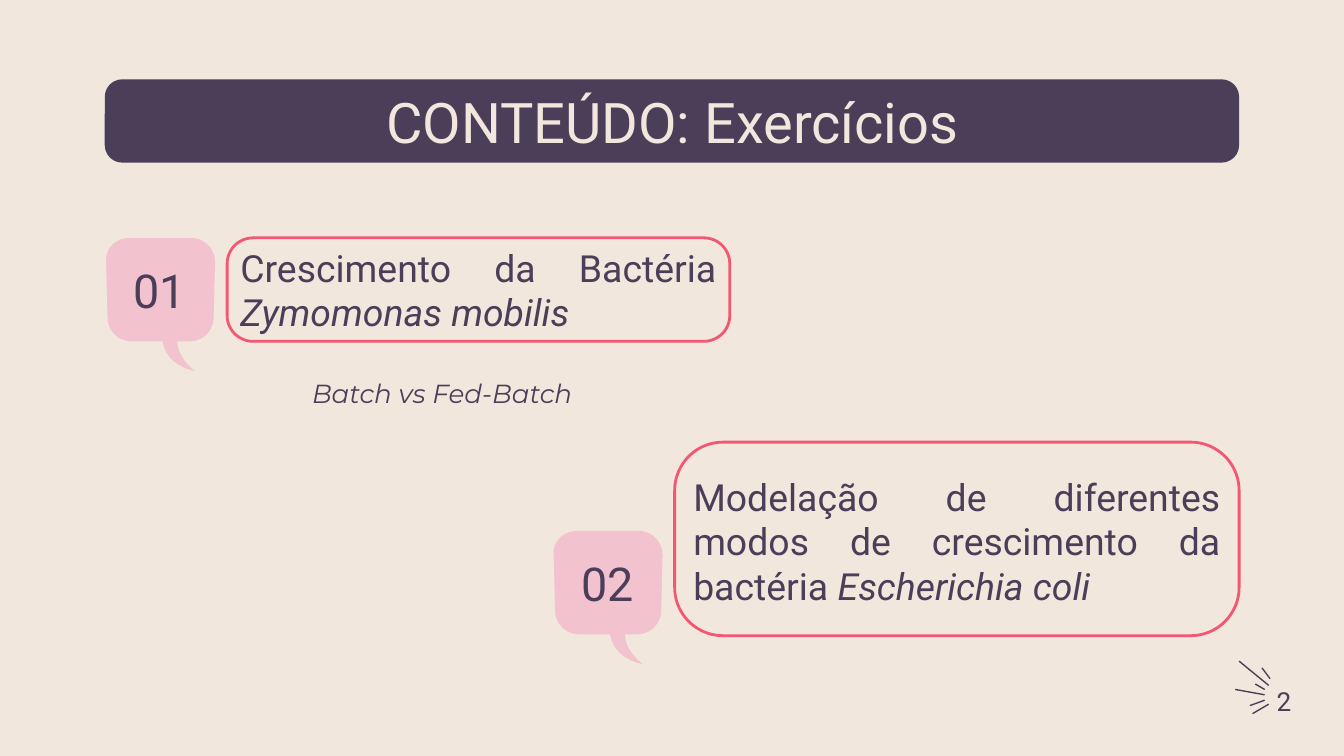
from lxml.etree import SubElement
from pptx import Presentation
from pptx.dml.color import RGBColor
from pptx.enum.shapes import MSO_CONNECTOR, MSO_SHAPE
from pptx.enum.text import MSO_ANCHOR, PP_ALIGN
from pptx.oxml.ns import qn
from pptx.util import Pt

PX = 9144  # 100 px to the inch
WIDTH = 1000 * PX
HEIGHT = WIDTH * 9 // 16
CREAM, PLUM, PINK, CORAL = "F2E7DC", "4B3E59", "F2C2CF", "F25774"
STEPS = 12

# Bubble outline from its top left: two numbers for a line, six for a curve
BUBBLE = [
    (64, 0), (74, 0, 82, 8, 82, 18), (81, 59), (81, 69, 73, 77, 63, 77),
    (54, 77), (54, 82, 56, 90, 67, 99), (67, 99, 46, 96, 43, 77), (20, 77),
    (10, 77, 2, 69, 2, 59), (1, 18), (0, 8, 8, 0, 19, 0),
]
RAYS = [
    (922, 492, 944, 510), (939, 497, 945, 505), (934, 509, 941, 513),
    (919, 513, 941, 517), (930, 525, 941, 521), (932, 531, 944, 524),
]


def color(code):
    return RGBColor.from_string(code)


def emu(*vals):
    return [round(v * PX) for v in vals]


def paint(shape, fill=None, line=None):
    shape.shadow.inherit = False
    if fill:
        shape.fill.solid()
        shape.fill.fore_color.rgb = color(fill)
    else:
        shape.fill.background()
    if line:
        shape.line.color.rgb = color(line)
        shape.line.width = Pt(1.5)
    else:
        shape.line.fill.background()


def panel(slide, box, curve, fill=None, line=None):
    shape = slide.shapes.add_shape(MSO_SHAPE.ROUNDED_RECTANGLE, *emu(*box))
    shape.adjustments[0] = curve
    paint(shape, fill, line)


def trace(segs):
    """Turn lines and cubic curves into a list of points."""
    pts = [segs[0]]
    for seg in segs[1:]:
        if len(seg) == 2:
            pts.append(seg)
            continue
        start = pts[-1]
        for i in range(1, STEPS + 1):
            t = i / STEPS
            u = 1 - t
            mix = (u**3, 3 * u * u * t, 3 * u * t * t, t**3)
            xs = (start[0], *seg[0::2])
            ys = (start[1], *seg[1::2])
            pts.append((sum(m * x for m, x in zip(mix, xs)),
                        sum(m * y for m, y in zip(mix, ys))))
    return pts


def label(slide, box, runs, align=PP_ALIGN.CENTER, pad=10,
          anchor=MSO_ANCHOR.MIDDLE, **style):
    frame = slide.shapes.add_textbox(*emu(*box)).text_frame
    form = {"word_wrap": True, "vertical_anchor": anchor,
            "margin_top": pad * PX, "margin_bottom": pad * PX,
            "margin_left": 10 * PX, "margin_right": 10 * PX}
    for key, val in form.items():
        setattr(frame, key, val)
    para = frame.paragraphs[0]
    para.alignment = align
    for text, slant in runs:
        run = para.add_run()
        run.text = text
        look = {"name": style.get("face", "Roboto"),
                "size": Pt(style.get("size", 20)), "italic": slant}
        for key, val in look.items():
            setattr(run.font, key, val)
        run.font.color.rgb = color(style.get("ink", PLUM))


def bubble(slide, left, top, num):
    pts = [tuple(emu(left + x, top + y)) for x, y in trace(BUBBLE)]
    pen = slide.shapes.build_freeform(*pts[0])
    pen.add_line_segments(pts[1:], close=True)
    paint(pen.convert_to_shape(), PINK)
    label(slide, (left + 6, top + 12, 70, 54), [(num, False)], size=25)


def ray(slide, ends):
    line = slide.shapes.add_connector(MSO_CONNECTOR.STRAIGHT, *emu(*ends))
    line.line.color.rgb = color(PLUM)
    line.line.width = Pt(0.75)
    SubElement(line.element.spPr, qn("a:effectLst"))


def main():
    deck = Presentation()
    deck.slide_width, deck.slide_height = WIDTH, HEIGHT
    slide = deck.slides.add_slide(deck.slide_layouts[6])
    slide.background.fill.solid()
    slide.background.fill.fore_color.rgb = color(CREAM)

    # Title bar
    panel(slide, (78, 59, 844, 62), 0.21, fill=PLUM)
    label(slide, (132, 59, 737, 62), [("CONTEÚDO: Exercícios", False)],
          size=30, ink=CREAM)

    # First exercise
    bubble(slide, 78, 177, "01")
    panel(slide, (169, 177, 374, 77), 0.25, line=CORAL)
    label(slide, (169, 189, 374, 53),
          [("Crescimento da Bactéria ", False), ("Zymomonas mobilis", True)],
          PP_ALIGN.JUSTIFY)
    label(slide, (169, 266, 320, 53), [("Batch vs Fed-Batch", True)],
          size=14, face="Montserrat")

    # Second exercise
    bubble(slide, 411, 395, "02")
    panel(slide, (502, 329, 420, 144), 0.25, line=CORAL)
    label(slide, (506, 319, 412, 167),
          [("Modelação de diferentes modos de crescimento da bactéria ", False),
           ("Escherichia coli", True)], PP_ALIGN.JUSTIFY)

    # Page number with rays
    for ends in RAYS:
        ray(slide, ends)
    label(slide, (940, 505, 29, 34), [("2", False)], PP_ALIGN.LEFT, pad=5,
          anchor=MSO_ANCHOR.TOP, size=14)

    deck.save("out.pptx")


if __name__ == "__main__":
    main()
